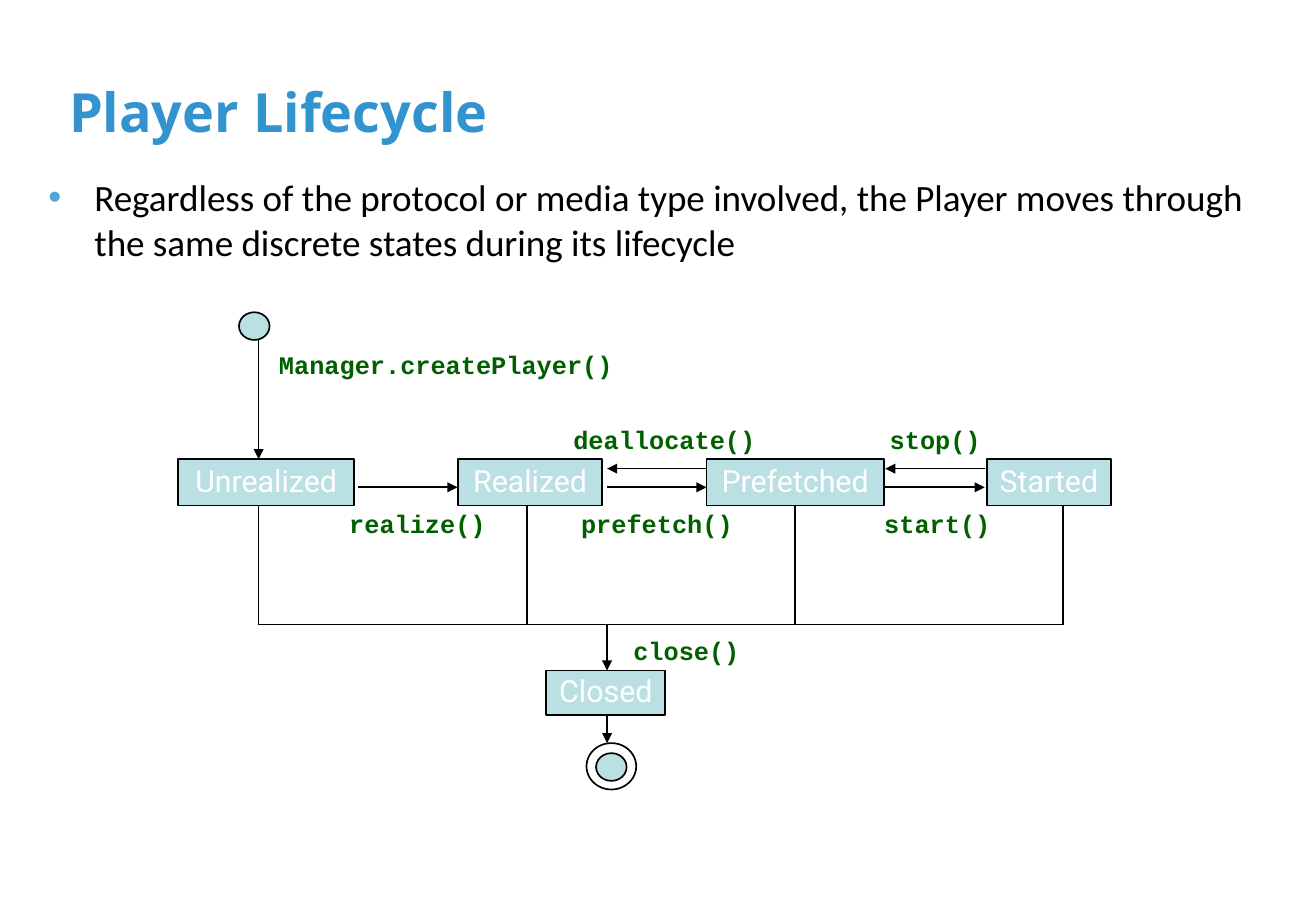
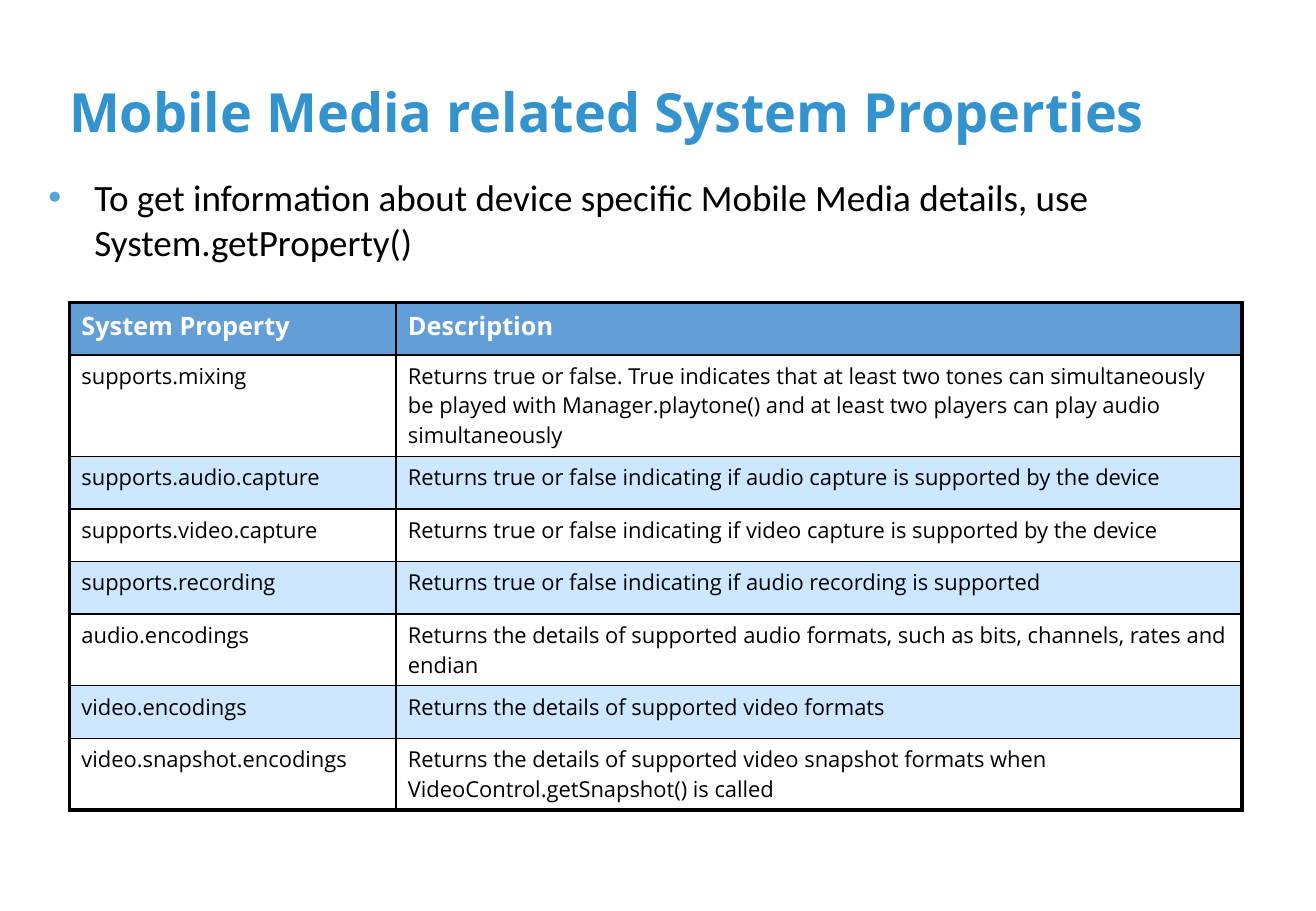
from dataclasses import dataclass

from lxml.etree import SubElement
from pptx import Presentation
from pptx.dml.color import RGBColor as RGB
from pptx.enum.shapes import MSO_CONNECTOR as LINE, MSO_SHAPE as SHAPE
from pptx.enum.text import MSO_ANCHOR as ANCHOR, MSO_AUTO_SIZE as FIT, PP_ALIGN as ALIGN
from pptx.oxml.ns import qn
from pptx.util import Cm, Pt

# Content: player lifecycle (lengths in cm)
LIFECYCLE_TITLE = "Player Lifecycle"
LIFECYCLE_BULLET = ("Regardless of the protocol or media type involved, the Player moves "
                    "through the same discrete states during its lifecycle")
STATES = [("Unrealized", 3.73, 3.68), ("Realized", 9.58, 3.02),
          ("Prefetched", 14.78, 3.71), ("Started", 20.65, 2.59)]  # name, left, width
FORWARD_STARTS = [7.49, 12.7, 18.52]
BACK_STARTS = FORWARD_STARTS[1:]
CALLS = [("Manager.createPlayer()", 5.56, 7.26, 7.54), ("deallocate()", 11.73, 8.81, 4.34),
         ("stop()", 18.36, 8.81, 2.41), ("realize()", 6.65, 10.57, 4.17),
         ("prefetch()", 11.66, 10.57, 4.17), ("start()", 18.24, 10.57, 2.74),
         ("close()", 12.9, 13.23, 2.92)]  # text, left, top, width

# Content: system properties
PROPERTIES_TITLE = "Mobile Media related System Properties"
PROPERTIES_BULLET = ("To get information about device specific Mobile Media details, "
                     "use System.getProperty()")
PROPERTIES = [
    ("System Property", "Description"),
    ("supports.mixing",
     "Returns true or false. True indicates that at least two tones can simultaneously be "
     "played with Manager.playtone() and at least two players can play audio simultaneously"),
    ("supports.audio.capture",
     "Returns true or false indicating if audio capture is supported by the device"),
    ("supports.video.capture",
     "Returns true or false indicating if video capture is supported by the device"),
    ("supports.recording", "Returns true or false indicating if audio recording is supported"),
    ("audio.encodings",
     "Returns the details of supported audio formats, such as bits, channels, rates and endian"),
    ("video.encodings", "Returns the details of supported video formats"),
    ("video.snapshot.encodings",
     "Returns the details of supported video snapshot formats when "
     "VideoControl.getSnapshot() is called"),
]
COLUMN_WIDTHS = [6.83, 17.7]
ROW_HEIGHTS = [1.1, 1.85, 1.1, 1.1, 1.1, 1.3, 1.1, 1.3]


@dataclass(frozen=True)
class Theme:
    """Colours, line widths and text formats of the deck."""
    black: str = "000000"
    bullet: str = "54A4D6"
    state: str = "BBE0E3"
    header: str = "639ED6"
    band: str = "CCE7FF"
    thin: float = 1
    thick: float = 2.25
    # name, size, bold, colour
    title: tuple = ("Noto Sans", 32, True, "3293CE")
    body: tuple = ("Calibri", 22, False, "000000")
    node: tuple = ("Roboto", 18, False, "FFFFFF")
    call: tuple = ("Courier New", 15, True, "006000")
    head_cell: tuple = ("Open Sans", 15, True, "FFFFFF")
    cell: tuple = ("Open Sans", 13, False, "000000")


T = Theme()


def apply(target, formats):
    """Set each attribute in the dict on the target."""
    for name, value in formats.items():
        setattr(target, name, value)


def write(tf, text, style, **paragraph):
    """Write one styled paragraph and return it."""
    p = tf.paragraphs[0]
    apply(p, paragraph)
    r = p.add_run()
    r.text = text
    name, size, bold, color = style
    apply(r.font, dict(name=name, size=Pt(size), bold=bold))
    r.font.color.rgb = RGB.from_string(color)
    return p


def solid(parent, color):
    """Add a solid colour to an XML parent."""
    SubElement(SubElement(parent, qn("a:solidFill")), qn("a:srgbClr"), val=color)


def place(s, left, top, width, height):
    """Move and size a shape, in cm."""
    apply(s, dict(left=Cm(left), top=Cm(top), width=Cm(width), height=Cm(height)))


def add_slide(prs, title, bullet):
    """Add a slide with the shared title and bullet style."""
    slide = prs.slides.add_slide(prs.slide_layouts[1])
    head, body = slide.placeholders
    place(head, 1.19, 0.76, 25.15, 2.36)
    place(body, 0.76, 3.53, 26.01, 12.4)
    for s, anchor in ((head, ANCHOR.BOTTOM), (body, ANCHOR.TOP)):
        apply(s.text_frame, dict(auto_size=FIT.NONE, vertical_anchor=anchor))
    write(head.text_frame, title, T.title, alignment=ALIGN.LEFT)
    pPr = write(body.text_frame, bullet, T.body)._p.get_or_add_pPr()
    pPr.set("marL", str(Cm(0.96)))
    pPr.set("indent", str(-Cm(0.96)))
    SubElement(SubElement(pPr, qn("a:buClr")), qn("a:srgbClr"), val=T.bullet)
    SubElement(pPr, qn("a:buChar"), char="•")
    return slide


def add_node(slide, kind, left, top, width, height, text="", fill=T.state):
    """Add an outlined state box or circle."""
    s = slide.shapes.add_shape(kind, Cm(left), Cm(top), Cm(width), Cm(height))
    s.shadow.inherit = False
    if fill:
        s.fill.solid()
        s.fill.fore_color.rgb = RGB.from_string(fill)
    else:
        s.fill.background()
    s.line.color.rgb = RGB.from_string(T.black)
    s.line.width = Pt(T.thin)
    if text:
        apply(s.text_frame, dict(word_wrap=False, vertical_anchor=ANCHOR.MIDDLE))
        write(s.text_frame, text, T.node, alignment=ALIGN.CENTER, line_spacing=0.9)


def add_line(slide, x1, y1, x2, y2, arrow=False):
    """Add a straight line, with an arrowhead at its end if asked."""
    c = slide.shapes.add_connector(LINE.STRAIGHT, Cm(x1), Cm(y1), Cm(x2), Cm(y2))
    c.line.color.rgb = RGB.from_string(T.black)
    c.line.width = Pt(T.thin)
    if arrow:
        SubElement(c.line._get_or_add_ln(), qn("a:tailEnd"), type="triangle")
    SubElement(c._element.spPr, qn("a:effectLst"))


def add_call(slide, text, left, top, width):
    """Add a method name beside its arrow."""
    tf = slide.shapes.add_textbox(Cm(left), Cm(top), Cm(width), Cm(0.84)).text_frame
    tf.word_wrap = False
    write(tf, text, T.call, alignment=ALIGN.CENTER, line_spacing=0.9)


def build_lifecycle(prs):
    """Build the state diagram slide."""
    slide = add_slide(prs, LIFECYCLE_TITLE, LIFECYCLE_BULLET)
    top, height, bus_y = 9.6, 0.97, 13.06
    first_x, step, close_x = 5.41, 5.61, 12.7
    arrow_length, forward_y, back_y = 2.08, 10.19, 9.8

    for name, left, width in STATES:
        add_node(slide, SHAPE.RECTANGLE, left, top, width, height, name)
    add_node(slide, SHAPE.RECTANGLE, 11.43, 14.02, 2.49, 0.94, "Closed")
    add_node(slide, SHAPE.OVAL, 5, 6.53, 0.64, 0.58)
    add_node(slide, SHAPE.OVAL, 12.47, 15.75, 0.64, 0.58)
    add_node(slide, SHAPE.OVAL, 12.27, 15.54, 1.04, 0.97, fill=None)

    for x in FORWARD_STARTS:
        add_line(slide, x, forward_y, x + arrow_length, forward_y, arrow=True)
    for x in BACK_STARTS:
        add_line(slide, x + arrow_length, back_y, x, back_y, arrow=True)
    for x, y1, y2 in ((first_x, 7.11, top), (close_x, bus_y, 14.02), (close_x, 14.98, 15.54)):
        add_line(slide, x, y1, x, y2, arrow=True)
    drops = [first_x + i * step for i in range(len(STATES))]
    for x in drops:
        add_line(slide, x, top + height, x, bus_y)
    add_line(slide, drops[0], bus_y, drops[-1], bus_y)
    for call in CALLS:
        add_call(slide, *call)


def set_borders(cell, thick_sides):
    """Draw the four cell borders, thick on the given sides."""
    tcPr = cell._tc.get_or_add_tcPr()
    for side in "LRTB":
        width = T.thick if side in thick_sides else T.thin
        solid(SubElement(tcPr, qn(f"a:ln{side}"), w=str(Pt(width))), T.black)


def build_properties(prs):
    """Build the property table slide."""
    slide = add_slide(prs, PROPERTIES_TITLE, PROPERTIES_BULLET)
    rows, cols = len(PROPERTIES), len(COLUMN_WIDTHS)
    table = slide.shapes.add_table(rows, cols, Cm(1.45), Cm(6.32), Cm(sum(COLUMN_WIDTHS)),
                                   Cm(sum(ROW_HEIGHTS))).table
    table.horz_banding = False
    for column, width in zip(table.columns, COLUMN_WIDTHS):
        column.width = Cm(width)
    for i, (row, height) in enumerate(zip(table.rows, ROW_HEIGHTS)):
        row.height = Cm(height)
        fill = T.header if i == 0 else T.band if i % 2 == 0 else None
        for j, cell in enumerate(row.cells):
            edges = {"T": i == 0, "B": i == rows - 1, "L": j == 0, "R": j == cols - 1}
            set_borders(cell, [side for side, outer in edges.items() if outer])
            if fill:
                cell.fill.solid()
                cell.fill.fore_color.rgb = RGB.from_string(fill)
            else:
                cell.fill.background()
            write(cell.text_frame, PROPERTIES[i][j], T.cell if i else T.head_cell)


prs = Presentation()
apply(prs, dict(slide_width=Cm(27.53), slide_height=Cm(19.05)))
build_lifecycle(prs)
build_properties(prs)
prs.save("out.pptx")
